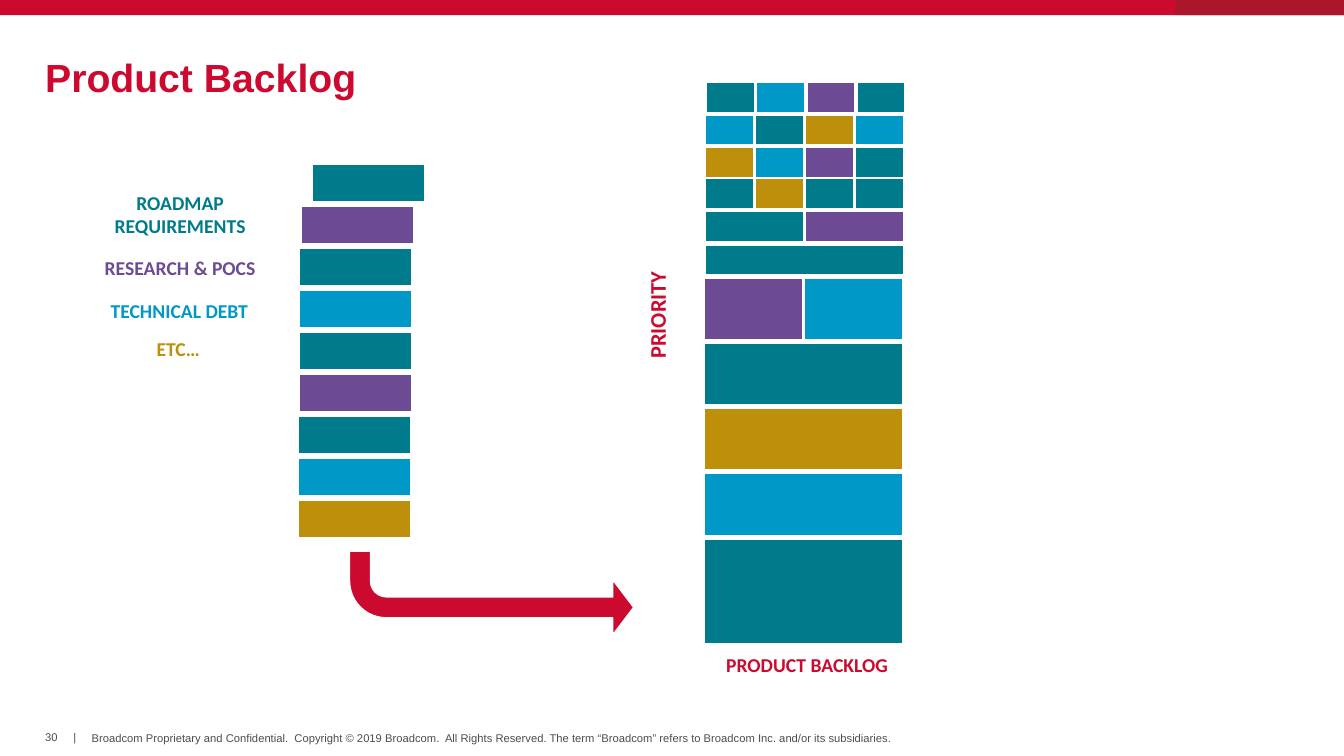
from dataclasses import dataclass

from pptx import Presentation
from pptx.dml.color import RGBColor
from pptx.enum.shapes import MSO_SHAPE
from pptx.enum.text import MSO_ANCHOR, PP_ALIGN
from pptx.util import Cm, Pt

RECT, BENT = MSO_SHAPE.RECTANGLE, MSO_SHAPE.BENT_ARROW
TOP, MIDDLE, BOTTOM = MSO_ANCHOR.TOP, MSO_ANCHOR.MIDDLE, MSO_ANCHOR.BOTTOM
LEFT, CENTER = PP_ALIGN.LEFT, PP_ALIGN.CENTER

RED = RGBColor(0xCC, 0x09, 0x2F)
DARK = RGBColor(0xAB, 0x16, 0x2C)
TEAL = RGBColor(0x00, 0x7B, 0x8C)
BLUE = RGBColor(0x00, 0x98, 0xC7)
PURPLE = RGBColor(0x6C, 0x4B, 0x94)
GOLD = RGBColor(0xBD, 0x8F, 0x0A)
GRAY = RGBColor(0x4D, 0x4D, 0x4F)
WHITE = RGBColor(0xFF, 0xFF, 0xFF)


@dataclass
class Label:
    text: str
    x: float
    y: float
    w: float
    h: float
    color: RGBColor
    size: int = 14
    font: str = "Calibri"
    bold: bool = True
    align: PP_ALIGN = CENTER
    anchor: MSO_ANCHOR = MIDDLE
    inset: bool = True
    wrap: bool = True
    turn: int = 0
    space: float = 1.0


@dataclass
class Row:
    x: float
    y: float
    h: float
    colors: list[RGBColor]


def add_label(slide, item: Label) -> None:
    box = slide.shapes.add_textbox(Cm(item.x), Cm(item.y), Cm(item.w), Cm(item.h))
    box.rotation = item.turn
    frame = box.text_frame
    frame.word_wrap = item.wrap
    frame.vertical_anchor = item.anchor
    if not item.inset:
        frame.margin_left = frame.margin_right = 0
        frame.margin_top = frame.margin_bottom = 0
    para = frame.paragraphs[0]
    para.alignment = item.align
    para.line_spacing = item.space
    run = para.add_run()
    run.text = item.text
    run.font.name = item.font
    run.font.size = Pt(item.size)
    run.font.bold = item.bold
    run.font.color.rgb = item.color


def add_block(slide, x: float, y: float, w: float, h: float, color: RGBColor,
              kind: MSO_SHAPE = RECT, edge: bool = True):
    block = slide.shapes.add_shape(kind, Cm(x), Cm(y), Cm(w), Cm(h))
    block.shadow.inherit = False
    block.fill.solid()
    block.fill.fore_color.rgb = color
    if edge:
        block.line.color.rgb = WHITE
        block.line.width = Pt(1)
    else:
        block.line.fill.background()
    return block


def add_row(slide, row: Row) -> None:
    count = len(row.colors)
    width = (FULL - GAP * (count - 1)) / count
    for i, color in enumerate(row.colors):
        add_block(slide, row.x + i * (width + GAP), row.y, width, row.h, color)


# Backlog: small items on top, large ones below
FULL, GAP = 5.0, 0.05
SMALL, LARGE = 0.76, 1.55
ROWS = [
    Row(17.81, 2.08, SMALL, [TEAL, BLUE, PURPLE, TEAL]),
    Row(17.78, 2.9, SMALL, [BLUE, TEAL, GOLD, BLUE]),
    Row(17.78, 3.71, SMALL, [GOLD, BLUE, PURPLE, TEAL]),
    Row(17.78, 4.5, SMALL, [TEAL, GOLD, TEAL, TEAL]),
    Row(17.78, 5.32, SMALL, [TEAL, PURPLE]),
    Row(17.78, 6.17, SMALL, [TEAL]),
    Row(17.75, 7.01, LARGE, [PURPLE, BLUE]),
    Row(17.75, 8.64, LARGE, [TEAL]),
    Row(17.75, 10.29, LARGE, [GOLD]),
    Row(17.75, 11.94, LARGE, [BLUE]),
    Row(17.75, 13.59, 2.64, [TEAL]),
]

# Incoming items: left edge and colour, at an even pitch
STACK_TOP, PITCH = 4.14, 1.06
STACK = [(7.87, TEAL), (7.59, PURPLE), (7.54, TEAL), (7.54, BLUE), (7.54, TEAL),
         (7.54, PURPLE), (7.52, TEAL), (7.52, BLUE), (7.52, GOLD)]

FOOT = ("Broadcom Proprietary and Confidential.  Copyright © 2019 Broadcom.  "
        "All Rights Reserved. The term “Broadcom” refers to Broadcom Inc. "
        "and/or its subsidiaries.")
SMALL_TEXT = dict(color=GRAY, size=8, font="Arial", bold=False, align=LEFT,
                  inset=False, wrap=False)
LABELS = [
    Label("30", 1.14, 18.42, 0.36, 0.33, **SMALL_TEXT),
    Label("|", 1.85, 18.42, 0.08, 0.33, **SMALL_TEXT),
    Label(FOOT, 2.31, 18.42, 20.35, 0.33, anchor=TOP, **SMALL_TEXT),
    Label("Product Backlog", 1.14, 1.52, 31.57, 1.02, RED, 28, "Arial",
          align=LEFT, inset=False, space=0.85),
    Label("ROADMAP REQUIREMENTS", 1.52, 4.67, 6.04, 1.45, TEAL),
    Label("RESEARCH & POCS", 1.52, 6.32, 6.04, 0.86, PURPLE),
    Label("TECHNICAL DEBT", 1.5, 7.39, 6.04, 0.86, BLUE),
    Label("ETC…", 1.47, 8.36, 6.04, 0.86, GOLD),
    Label("PRIORITY", 15.19, 7.47, 2.72, 0.94, RED, 16, anchor=BOTTOM,
          wrap=False, turn=270),
    Label("PRODUCT BACKLOG", 17.32, 16.33, 6.04, 0.86, RED),
]


def main() -> None:
    deck = Presentation()
    deck.slide_width, deck.slide_height = Cm(33.87), Cm(19.05)
    slide = deck.slides.add_slide(deck.slide_layouts[6])

    # Top band
    add_block(slide, 0, 0, 33.87, 0.38, RED, edge=False)
    add_block(slide, 29.62, 0, 4.25, 0.38, DARK, edge=False)

    # Stack, backlog and the arrow between them
    for i, (x, color) in enumerate(STACK):
        add_block(slide, x, STACK_TOP + i * PITCH, 2.84, 0.94, color)
    for row in ROWS:
        add_row(slide, row)
    arrow = add_block(slide, 8.81, 13.89, 7.16, 2.11, RED, BENT)
    for i, value in enumerate((0.25, 0.33, 0.25, 0.44)):
        arrow.adjustments[i] = value
    arrow.rotation = 180
    arrow._element.spPr.xfrm.set("flipH", "1")

    # Text
    for item in LABELS:
        add_label(slide, item)

    deck.save("out.pptx")


if __name__ == "__main__":
    main()
